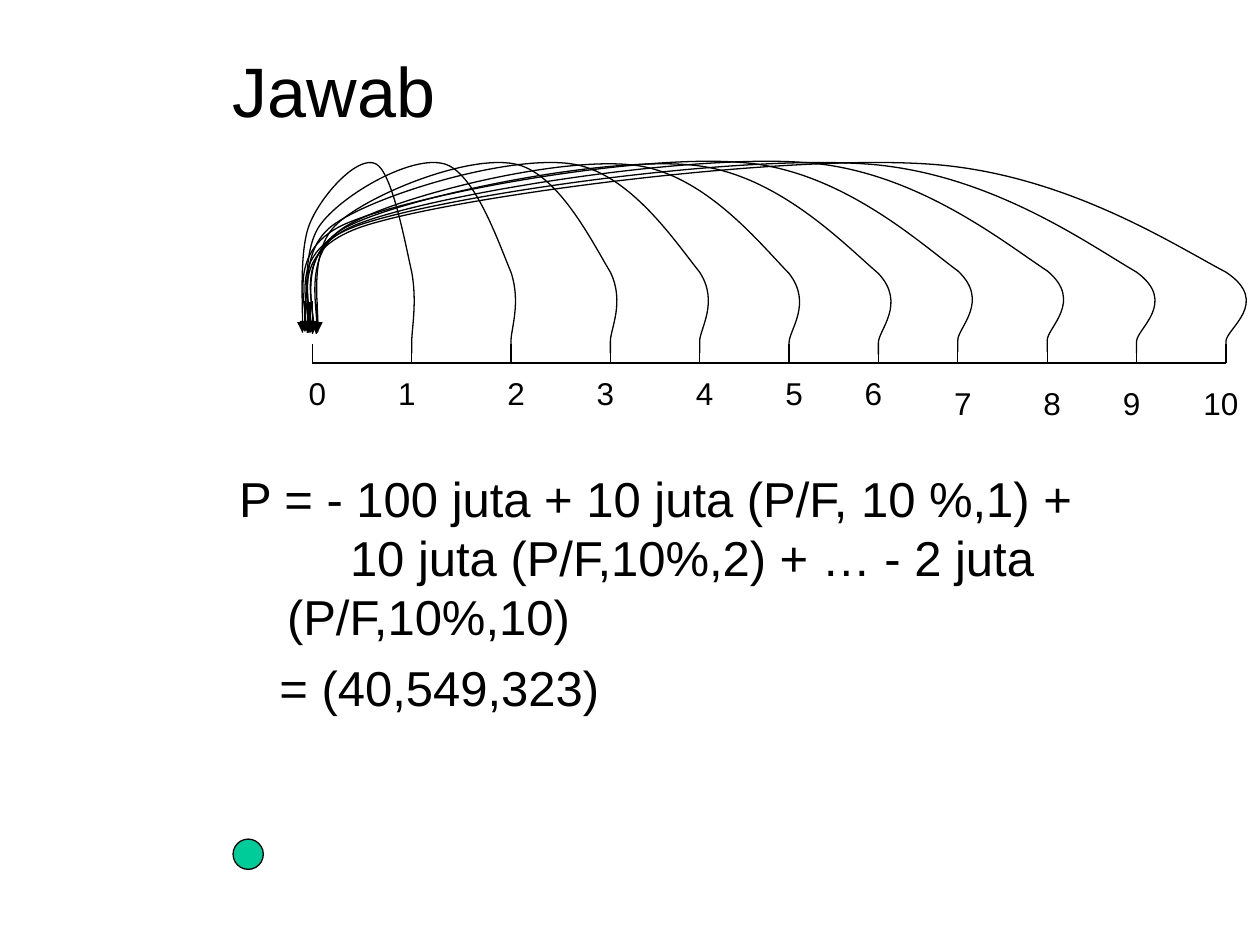
from dataclasses import dataclass
from itertools import accumulate
from typing import Any

from lxml.etree import SubElement
from pptx import Presentation
from pptx.dml.color import RGBColor
from pptx.enum.shapes import MSO_CONNECTOR as Connector, MSO_SHAPE as Shape
from pptx.enum.text import MSO_ANCHOR as Anchor, PP_ALIGN as Align
from pptx.oxml.ns import qn
from pptx.util import Inches, Pt

BLACK = RGBColor(0x00, 0x00, 0x00)
GREEN = RGBColor(0x00, 0xCC, 0x99)
FONT = "Arial"
AXIS_LEFT, AXIS_TOP, AXIS_BOTTOM = 2.48, 2.73, 2.88
COLUMN = 7.25 / 92
LABEL_WIDTH, LABEL_HEIGHT = 0.6, 0.31
YEAR_COLUMNS = list(accumulate([0, 10, 10, 10, 9, 9, 9, 8, 9, 9, 9]))
ARC = [
    (1, 2.79),
    (1, 2.81), (1, 2.82), (1, 2.71),
    (1, 2.61), (1.05, 2.4), (1, 2.16),
    (0.94, 1.93), (0.82, 1.36), (0.67, 1.3),
    (0.51, 1.23), (0.18, 1.54), (0.07, 1.77),
    (-0.04, 1.99), (0.01, 2.49), (0, 2.64),
]


@dataclass
class Label:
    year: int
    center_column: float
    top: float = 2.96


@dataclass
class Discount:
    year: int
    landing: float
    drop: float = 0
    arrow: bool = True


@dataclass
class Line:
    text: str
    margin: float = 0
    indent: float = 0
    before: float = 0
    align: Any = Align.LEFT


LABELS = [
    Label(0, 0.5), Label(1, 9.5), Label(2, 20.5), Label(3, 29.5), Label(4, 39.5),
    Label(5, 48.5), Label(6, 56.5), Label(7, 65.5, 3.04), Label(8, 74.5, 3.04),
    Label(9, 82.5, 3.04), Label(10, 91.5, 3.04),
]
DISCOUNTS = [
    Discount(6, 2.48, 0.01), Discount(5, 2.51, 0.01), Discount(4, 2.45),
    Discount(3, 2.52), Discount(2, 2.44, arrow=False), Discount(1, 2.4),
    Discount(10, 2.46), Discount(9, 2.44), Discount(8, 2.48, -0.01),
    Discount(7, 2.42, -0.01),
]
SOLUTION = [
    Line("P = - 100 juta + 10 juta (P/F, 10 %,1) +\v\t10 juta (P/F,10%,2) + … - 2 juta (P/F,10%,10)",
         0.38, -0.38, 7),
    Line("= (40,549,323)", 0.32, 0, 7),
]


def apply(target: Any, values: dict[str, Any]) -> None:
    for name, value in values.items():
        setattr(target, name, value)


def column_x(column: float) -> float:
    return AXIS_LEFT + column * COLUMN


def outline(shape: Any) -> None:
    shape.line.color.rgb = BLACK
    shape.line.width = Pt(0.75)


def add_line(shapes: Any, start: tuple[float, float], end: tuple[float, float], arrow: bool = False) -> None:
    connector = shapes.add_connector(Connector.STRAIGHT, *map(Inches, start + end))
    outline(connector)
    if arrow:
        SubElement(connector.line._get_or_add_ln(), qn("a:tailEnd"), type="triangle")
    SubElement(connector._element.spPr, qn("a:effectLst"))


def add_arc(slide: Any, discount: Discount) -> None:
    group = slide.shapes.add_group_shape()
    width = column_x(YEAR_COLUMNS[discount.year]) - discount.landing
    points = [(Inches(discount.landing + share * width), Inches(y + discount.drop)) for share, y in ARC]
    builder = group.shapes.build_freeform(*points[0])
    builder.add_line_segments(points[1:], close=False)
    curve = builder.convert_to_shape()
    outline(curve)
    curve.fill.background()
    curve.shadow.inherit = False
    outline_path = next(curve._element.iter(qn("a:path")))
    segments = outline_path.findall(qn("a:lnTo"))
    for first in range(0, len(segments), 3):
        bezier = SubElement(outline_path, qn("a:cubicBezTo"))
        for segment in segments[first:first + 3]:
            bezier.append(segment[0])
            outline_path.remove(segment)
    if discount.arrow:
        add_line(group.shapes, (discount.landing, 2.4 + discount.drop),
                 (discount.landing, 2.64 + discount.drop), arrow=True)


def add_text(slide: Any, box: tuple[float, ...], lines: list[Line], size: float,
             anchor: Any = Anchor.MIDDLE) -> None:
    frame = slide.shapes.add_textbox(*map(Inches, box)).text_frame
    apply(frame, {"word_wrap": True, "vertical_anchor": anchor})
    for index, line in enumerate(lines):
        paragraph = frame.add_paragraph() if index else frame.paragraphs[0]
        paragraph.text = line.text
        apply(paragraph, {"alignment": line.align, "space_before": Pt(line.before)})
        properties = paragraph._p.get_or_add_pPr()
        properties.set("marL", str(Inches(line.margin)))
        properties.set("indent", str(Inches(line.indent)))
        if "\t" in line.text:
            stops = SubElement(properties, qn("a:tabLst"))
            SubElement(stops, qn("a:tab"), pos=str(Inches(1.5)), algn="l")
        for run in paragraph.runs:
            apply(run.font, {"name": FONT, "size": Pt(size)})
            run.font.color.rgb = BLACK


def main() -> None:
    presentation = Presentation()
    apply(presentation, {"slide_width": Inches(10), "slide_height": Inches(7.5)})
    slide = presentation.slides.add_slide(presentation.slide_layouts[6])
    add_text(slide, (1.75, 0.25, 7.83, 0.92), [Line("Jawab")], 40)
    add_text(slide, (1.8, 3.67, 7.66, 2.99), SOLUTION, 28, Anchor.TOP)
    add_line(slide.shapes, (AXIS_LEFT, AXIS_BOTTOM), (column_x(YEAR_COLUMNS[-1]), AXIS_BOTTOM))
    for column in YEAR_COLUMNS:
        add_line(slide.shapes, (column_x(column), AXIS_TOP), (column_x(column), AXIS_BOTTOM))
    for discount in DISCOUNTS:
        add_arc(slide, discount)
    for label in LABELS:
        left = column_x(label.center_column) - LABEL_WIDTH / 2
        add_text(slide, (left, label.top, LABEL_WIDTH, LABEL_HEIGHT),
                 [Line(str(label.year), align=Align.CENTER)], 18)
    marker = slide.shapes.add_shape(Shape.OVAL, *map(Inches, (1.85, 6.66, 0.24, 0.24)))
    marker.fill.solid()
    marker.fill.fore_color.rgb = GREEN
    marker.shadow.inherit = False
    outline(marker)
    presentation.save("out.pptx")


if __name__ == "__main__":
    main()
